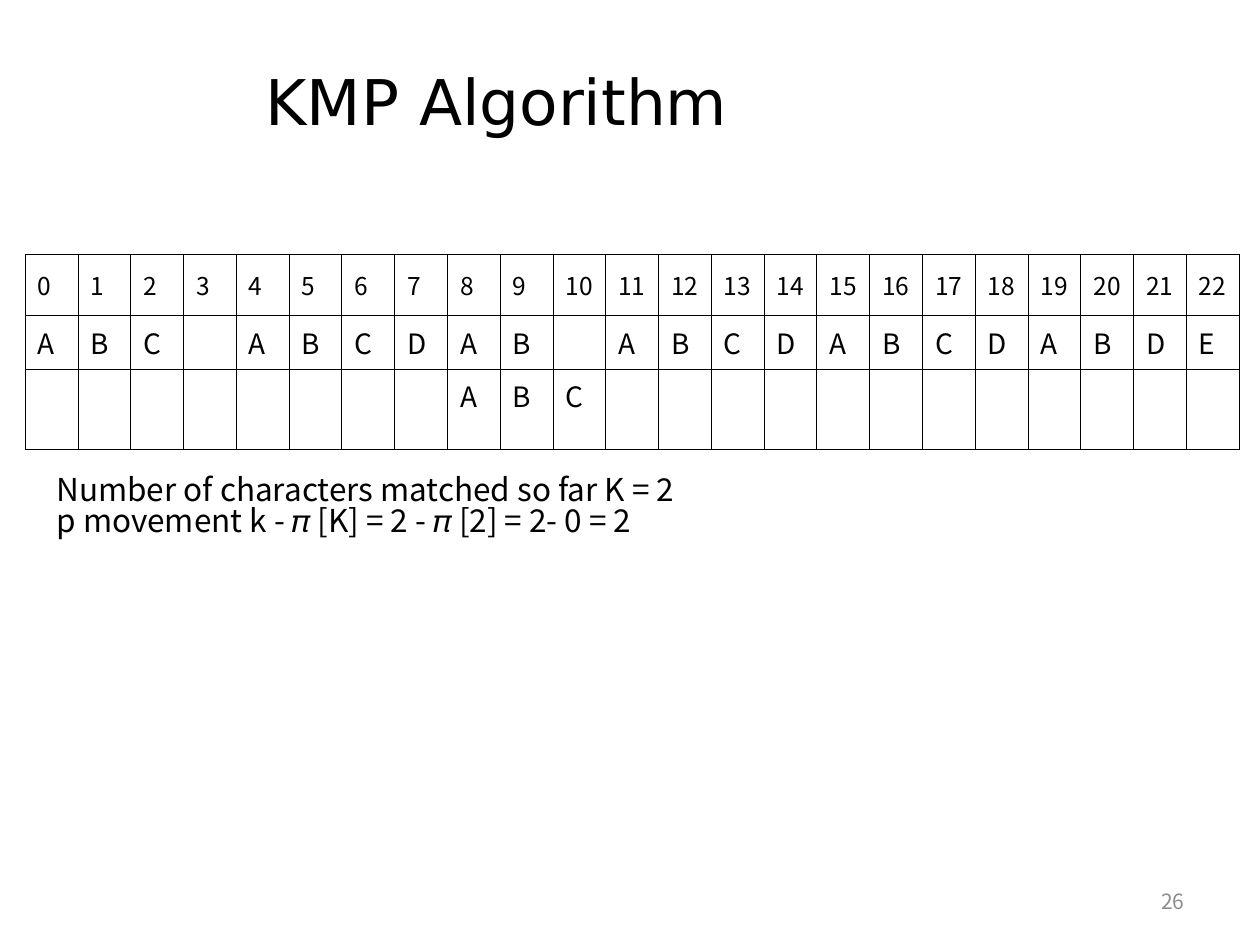
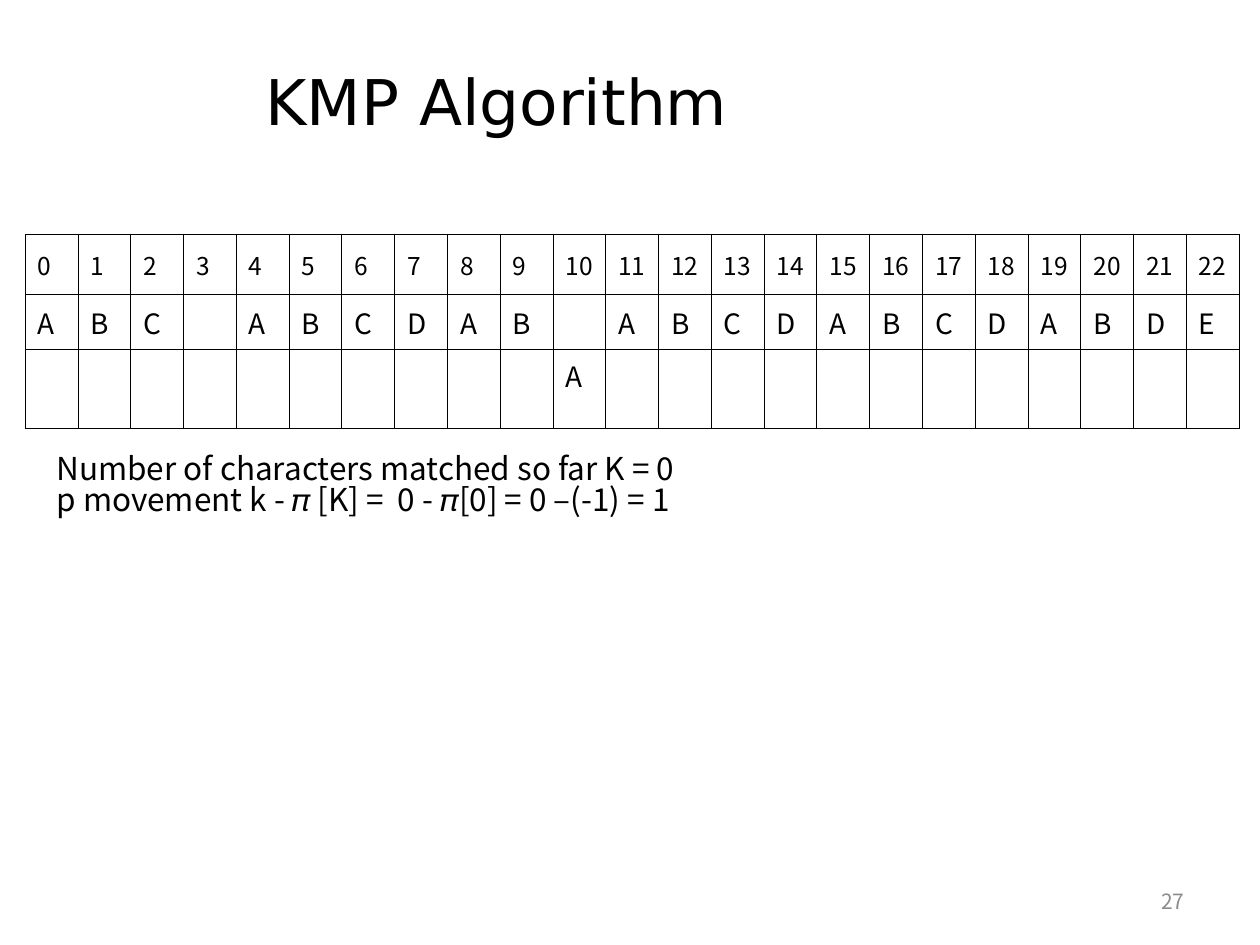
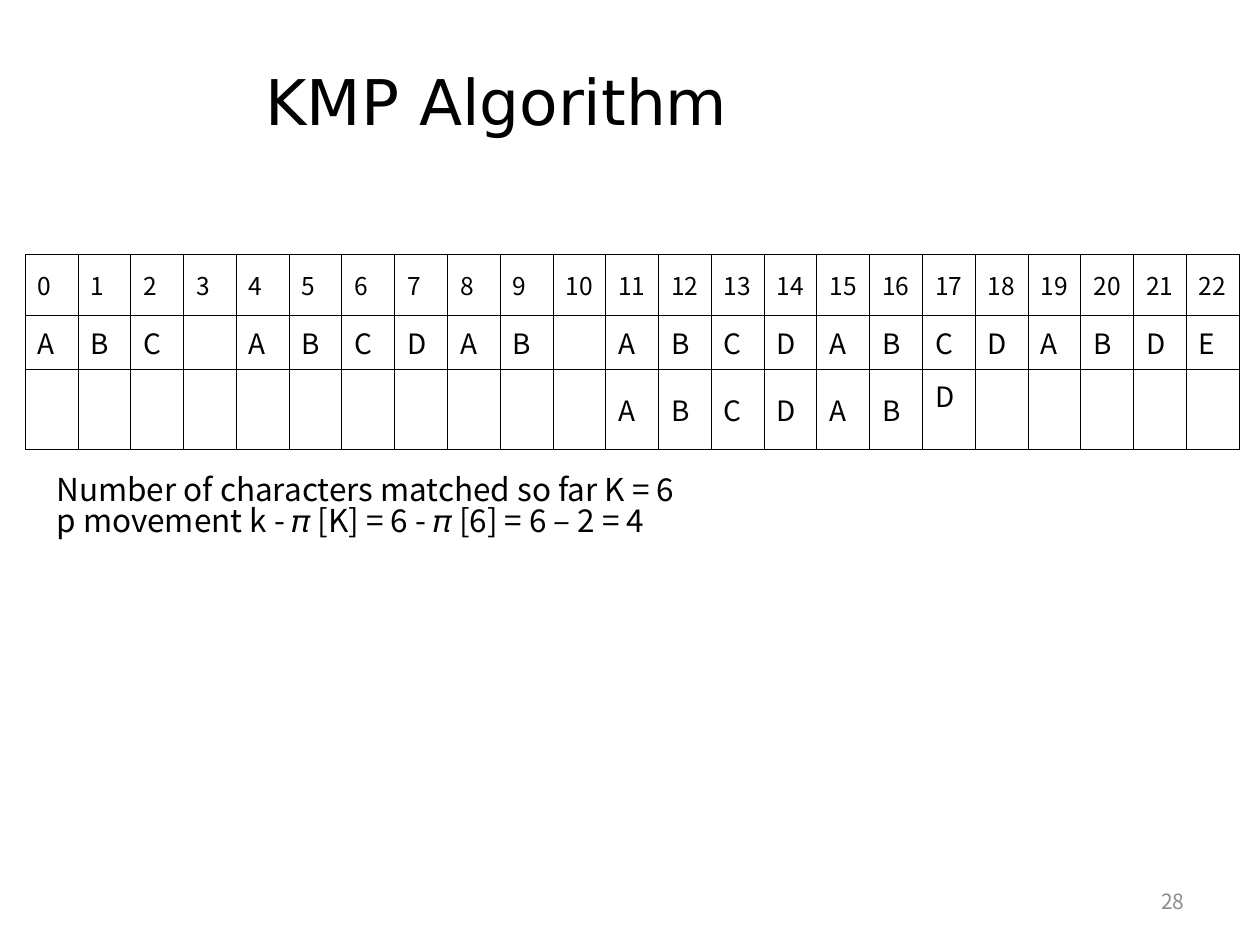
"""Build three slides that step through the KMP string matching algorithm."""
import lxml.etree
import pptx
import pptx.dml.color
import pptx.enum.text
import pptx.oxml.ns
import pptx.util

BLACK, GREY = "000000", "8C8C8C"
HEAD, BODY = "DejaVu Sans", "Noto Sans CJK KR"
ALIGN = pptx.enum.text.PP_ALIGN
MIDDLE = pptx.enum.text.MSO_ANCHOR.MIDDLE
qn = pptx.oxml.ns.qn


def color(value):
    return pptx.dml.color.RGBColor.from_string(value)


def write(tf, text, size=16, font=BODY, ink=BLACK, align=ALIGN.JUSTIFY, spacing=None):
    tf.word_wrap = True
    for i, line in enumerate(text.split("\n")):
        p = tf.add_paragraph() if i else tf.paragraphs[0]
        p.alignment = align
        p.line_spacing = spacing
        r = p.add_run()
        r.text = line
        r.font.size = pptx.util.Pt(size)
        r.font.name = font
        r.font.color.rgb = color(ink)
        lxml.etree.SubElement(r.font._element, qn("a:ea"), typeface=font)


prs = pptx.Presentation()
prs.slide_width = W = pptx.util.Inches(10)
prs.slide_height = H = pptx.util.Inches(7.5)

TEXT = "ABC ABCDAB ABCDABCDABDE"
COLS = len(TEXT)
COL_W = int(0.964 * W / COLS)
ROWS = [pptx.util.Inches(h) for h in (0.48, 0.43, 0.43)]
TITLE_BOX = (0.201, 0.039, 0.706, 0.135)
NUMBER_BOX = (0.717, 0.927, 0.233, 0.053)
WIDE = "\u3000"

steps = [
    (26, 2.02, {8: "A" + WIDE, 9: "B" + WIDE, 10: "C" + WIDE},
     "Number of characters matched so far K = 2\n"
     "p movement k - 𝜋 [K] = 2 - 𝜋 [2] = 2- 0 = 2"),
    (27, 1.86, {10: "A" + WIDE},
     "Number of characters matched so far K = 0\n"
     "p movement k - 𝜋 [K] =  0 - 𝜋[0] = 0 –(-1) = 1"),
    (28, 2.02, {**dict(enumerate("ABCDAB", 11)), 17: "D" + WIDE},
     "Number of characters matched so far K = 6\n"
     "p movement k - 𝜋 [K] = 6 - 𝜋 [6] = 6 – 2 = 4"),
]

for number, top, pattern, note in steps:
    s = prs.slides.add_slide(prs.slide_layouts[6])
    note_box = (0.035, (top + 1.65) / 7.5, 0.559, 0.095)
    boxes = [
        (TITLE_BOX, "KMP Algorithm", dict(size=36, font=HEAD, align=ALIGN.LEFT)),
        (NUMBER_BOX, str(number), dict(size=12, ink=GREY, align=ALIGN.RIGHT)),
        (note_box, note, dict(size=18, spacing=0.82)),
    ]
    for (x, y, w, h), text, fmt in boxes:
        sp = s.shapes.add_textbox(int(x * W), int(y * H), int(w * W), int(h * H))
        sp.text_frame.vertical_anchor = MIDDLE
        write(sp.text_frame, text, **fmt)

    table = s.shapes.add_table(len(ROWS), COLS, int(0.02 * W), pptx.util.Inches(top),
                               COL_W * COLS, sum(ROWS)).table
    table.first_row = table.horz_banding = False
    for col in table.columns:
        col.width = COL_W
    for row, height in zip(table.rows, ROWS):
        row.height = height

    for c, letter in enumerate(TEXT):
        values = (str(c), letter.strip(), pattern.get(c, ""))
        for i, value in enumerate(values):
            cell = table.cell(i, c)
            cell.vertical_anchor = MIDDLE
            if value:
                write(cell.text_frame, value, size=16 if i else 14)
            for side in ("a:lnL", "a:lnR", "a:lnT", "a:lnB"):
                ln = lxml.etree.SubElement(cell._tc.get_or_add_tcPr(), qn(side),
                                           w=str(pptx.util.Pt(0.56)))
                fill = lxml.etree.SubElement(ln, qn("a:solidFill"))
                lxml.etree.SubElement(fill, qn("a:srgbClr"), val=BLACK)
            cell.fill.background()

prs.save("out.pptx")
